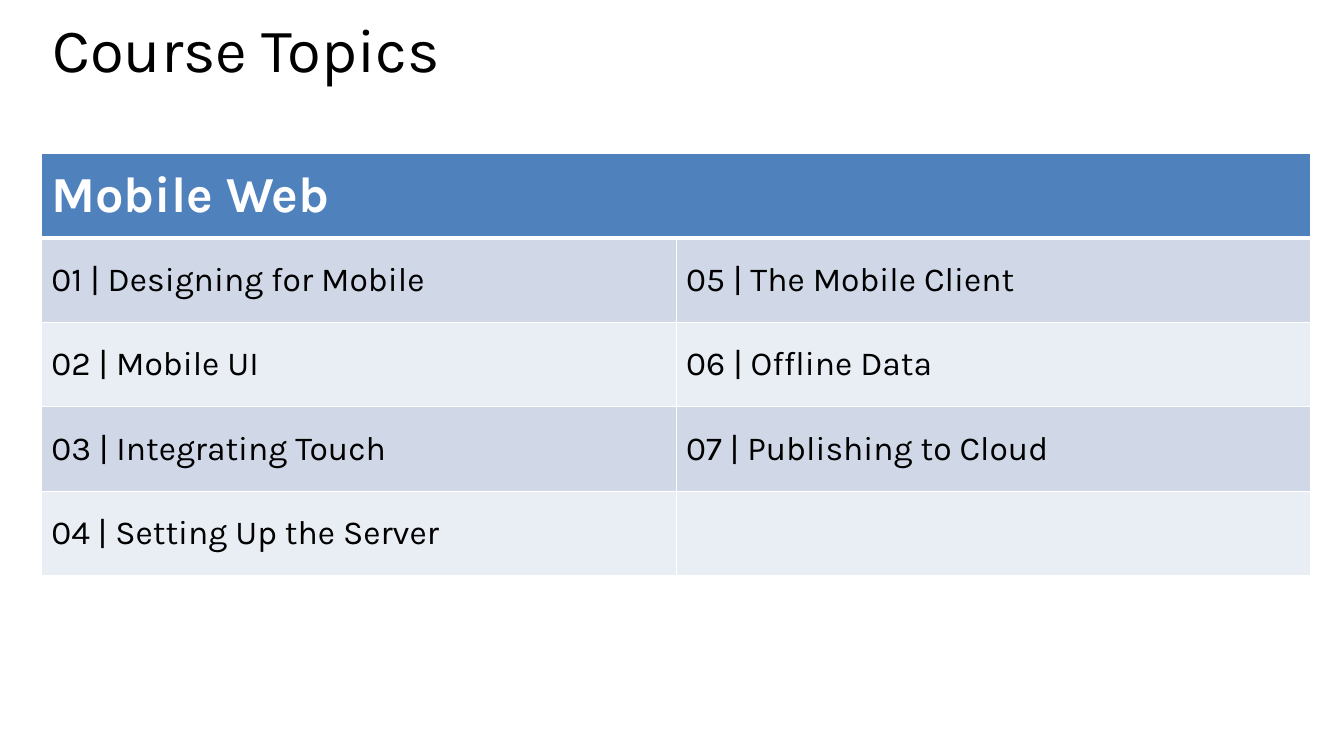
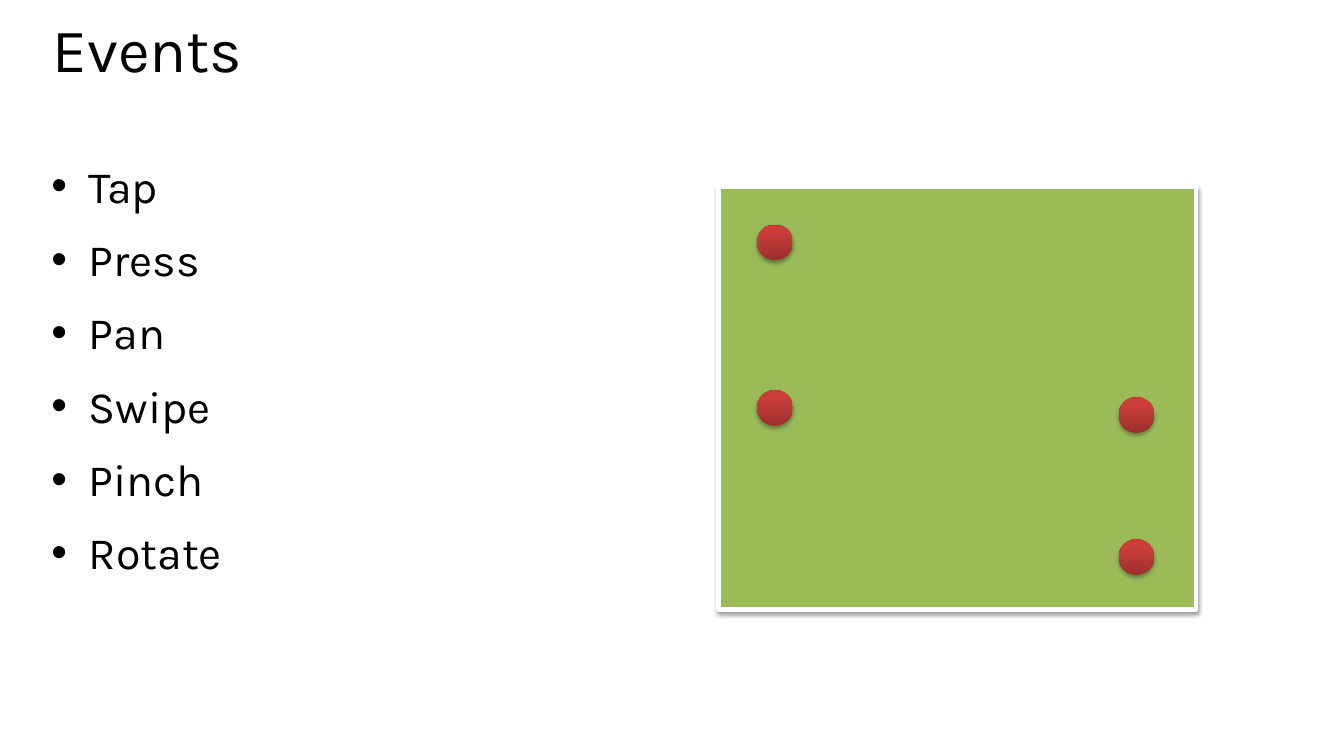
from lxml.etree import SubElement
from pptx import Presentation
from pptx.dml.color import RGBColor as RGB
from pptx.enum.shapes import MSO_SHAPE as SHAPE
from pptx.enum.text import MSO_ANCHOR as ANCHOR, MSO_AUTO_SIZE as AUTO, PP_ALIGN as ALIGN
from pptx.oxml import parse_xml
from pptx.oxml.ns import nsdecls, qn
from pptx.util import Cm, Pt

FONT = "Karla"
COLORS = {
    "text": "000000", "white": "FFFFFF", "header": "4F81BD",
    "band_dark": "D0D8E8", "band_light": "E9EDF4", "board": "9BBB59",
    "dot_dark": "9C2F2D", "dot_mid": "CB3E3A", "dot_light": "CE3B37",
}
TOPICS_TITLE = "Course Topics"
TOPICS = [
    ("Mobile Web", ""),
    ("01 | Designing for Mobile", "05 | The Mobile Client"),
    ("02 | Mobile UI", "06 | Offline Data"),
    ("03 | Integrating Touch", "07 | Publishing to Cloud"),
    ("04 | Setting Up the Server", ""),
]
EVENTS_TITLE = "Events"
EVENTS = ["Tap", "Press", "Pan", "Swipe", "Pinch", "Rotate"]

TITLE_BOX = (1.07, 0.51, 32, 2.95)
BODY_BOX = (1.04, 3.86, 32, 14.71)
ROW_HEIGHT = 2.13
BOARD_BOX = (18.11, 4.72, 12.04, 10.64)
DOT_SIZE = 0.9
DOTS = [(19.08, 5.66), (28.19, 13.59), (19.08, 9.83), (28.19, 10.01)]
DOT_STOPS = [(0, "dot_dark"), (80, "dot_mid"), (100, "dot_light")]


def rgb(name):
    return RGB.from_string(COLORS[name])


def style(p, size, color="text", bold=False):
    f = p.font
    f.name, f.size, f.bold = FONT, Pt(size), bold
    f.color.rgb = rgb(color)


def place(s, box):
    s.left, s.top, s.width, s.height = map(Cm, box)


def add_slide(prs, layout, title):
    slide = prs.slides.add_slide(prs.slide_layouts[layout])
    s = slide.shapes.title
    place(s, TITLE_BOX)
    tf = s.text_frame
    tf.text = title
    tf.auto_size = AUTO.NONE
    tf.vertical_anchor = ANCHOR.TOP
    p = tf.paragraphs[0]
    p.alignment = ALIGN.LEFT
    p.line_spacing = 0.8
    style(p, 44)
    return slide


def set_borders(cell, widths):
    tcPr = cell._tc.get_or_add_tcPr()
    for i, (side, width) in enumerate(zip("LRTB", widths)):
        tcPr.insert(i, parse_xml(
            f'<a:ln{side} {nsdecls("a")} w="{Pt(width)}"><a:solidFill>'
            f'<a:srgbClr val="{COLORS["white"]}"/></a:solidFill></a:ln{side}>'))


def add_topics(slide):
    left, top, width, _ = BODY_BOX
    rows, cols = len(TOPICS), len(TOPICS[0])
    table = slide.shapes.add_table(
        rows, cols, Cm(left), Cm(top), Cm(width), Cm(ROW_HEIGHT * rows)).table
    table.first_row = table.horz_banding = False
    table.cell(0, 0).merge(table.cell(0, cols - 1))
    for i, row in enumerate(TOPICS):
        header = i == 0
        band = "header" if header else "band_dark" if i % 2 else "band_light"
        for j, text in enumerate(row):
            cell = table.cell(i, j)
            cell.fill.solid()
            cell.fill.fore_color.rgb = rgb(band)
            cell.vertical_anchor = ANCHOR.MIDDLE
            set_borders(cell, (1, 1, 3 if i == 1 else 1, 3 if header else 1))
            if text:
                cell.text = text
                style(cell.text_frame.paragraphs[0], 36 if header else 24,
                      "white" if header else "text", header)


def add_events(slide):
    s = slide.placeholders[1]
    place(s, BODY_BOX)
    tf = s.text_frame
    tf.text = "\n".join(EVENTS)
    tf.auto_size = AUTO.NONE
    for p in tf.paragraphs:
        p.space_before = Pt(14)
        style(p, 32)
        pPr = p._p.get_or_add_pPr()
        pPr.set("marL", str(Cm(0.94)))
        pPr.set("indent", str(-Cm(0.94)))


def add_shadow(s, opacity, distance):
    s.shadow.inherit = False
    effects = s._element.spPr.find(qn("a:effectLst"))
    effects.append(parse_xml(
        f'<a:outerShdw {nsdecls("a")} blurRad="{Pt(3.1)}" dist="{Pt(distance)}" '
        f'dir="5400000" rotWithShape="0"><a:srgbClr val="{COLORS["text"]}">'
        f'<a:alpha val="{opacity * 1000}"/></a:srgbClr></a:outerShdw>'))


def add_board(slide):
    s = slide.shapes.add_shape(SHAPE.RECTANGLE, *map(Cm, BOARD_BOX))
    s.fill.solid()
    s.fill.fore_color.rgb = rgb("board")
    s.line.color.rgb = rgb("white")
    s.line.width = Pt(3)
    add_shadow(s, 38, 1.6)


def add_dot(slide, x, y):
    s = slide.shapes.add_shape(SHAPE.OVAL, *map(Cm, (x, y, DOT_SIZE, DOT_SIZE)))
    s.fill.gradient()
    s.fill.gradient_angle = 90
    stops = s._element.spPr.find(qn("a:gradFill")).find(qn("a:gsLst"))
    for stop in list(stops):
        stops.remove(stop)
    for position, color in DOT_STOPS:
        stop = SubElement(stops, qn("a:gs"), pos=str(position * 1000))
        SubElement(stop, qn("a:srgbClr"), val=COLORS[color])
    s.line.fill.background()
    add_shadow(s, 35, 1.8)


prs = Presentation()
prs.slide_width, prs.slide_height = Cm(33.87), Cm(19.05)

add_topics(add_slide(prs, 5, TOPICS_TITLE))

events = add_slide(prs, 1, EVENTS_TITLE)
add_events(events)
add_board(events)
for x, y in DOTS:
    add_dot(events, x, y)

prs.save("out.pptx")
